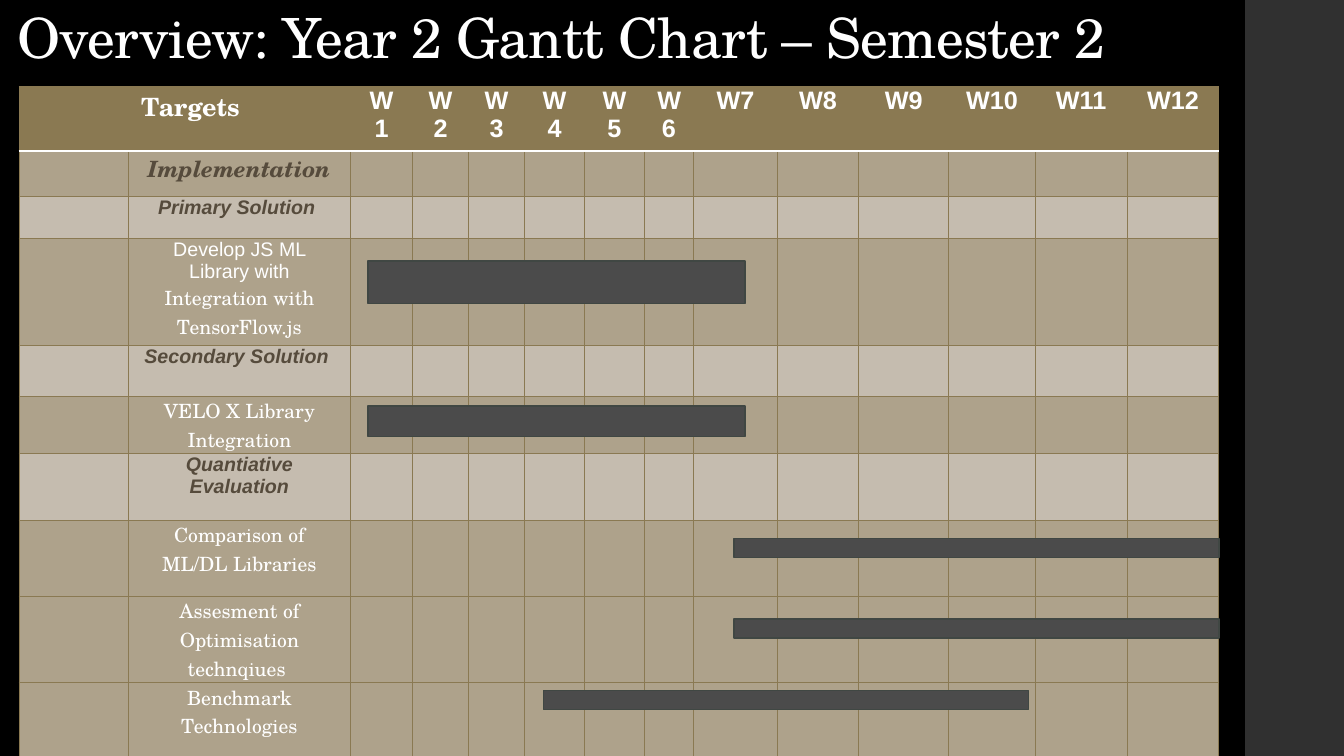
from itertools import accumulate

from lxml.etree import SubElement
from pptx import Presentation
from pptx.dml.color import RGBColor
from pptx.enum.shapes import MSO_SHAPE
from pptx.enum.text import MSO_ANCHOR, MSO_AUTO_SIZE, PP_ALIGN
from pptx.oxml.ns import qn
from pptx.util import Inches, Pt

BLACK = RGBColor(0x00, 0x00, 0x00)
WHITE = RGBColor(0xFF, 0xFF, 0xFF)
GOLD = RGBColor(0x8A, 0x79, 0x52)
TAN = RGBColor(0xAE, 0xA2, 0x8B)
PALE = RGBColor(0xC5, 0xBC, 0xAF)
BROWN = RGBColor(0x56, 0x4B, 0x3C)
STRIP = RGBColor(0x30, 0x30, 0x30)
BAR = RGBColor(0x4B, 0x4B, 0x4B)
BAR_EDGE = RGBColor(0x40, 0x47, 0x43)

SERIF, SANS = "TeX Gyre Schola", "Arial"
WIDTH, HEIGHT = 13.33, 7.5
LEFT, TOP = 0.19, 0.86
COLS = [1.08, 2.21, 0.61, 0.56, 0.55, 0.6, 0.59, 0.49, 0.83, 0.81, 0.89, 0.86, 0.91, 0.91]
ROWS = [0.64, 0.45, 0.42, 1.06, 0.5, 0.57, 0.66, 0.75, 0.86, 0.75]
COL_X = list(accumulate(COLS, initial=LEFT))
ROW_Y = list(accumulate(ROWS, initial=TOP))

HEAD = dict(name=SERIF, size=Pt(18), bold=True, italic=False, color=WHITE)
WEEK = HEAD | dict(name=SANS)
PHASE = HEAD | dict(size=Pt(16), italic=True, color=BROWN)
SECTION = PHASE | dict(name=SANS, size=Pt(14))
TASK = dict(name=SERIF, size=Pt(14), bold=False, italic=False, color=WHITE)
TASK_SANS = TASK | dict(name=SANS)

TARGETS = [
    (GOLD, PP_ALIGN.LEFT, [("Targets", HEAD)]),
    (TAN, PP_ALIGN.LEFT, [(" Implementation", PHASE)]),
    (PALE, PP_ALIGN.CENTER, [("Primary Solution ", SECTION)]),
    (TAN, PP_ALIGN.CENTER, [("Develop JS ML Library with ", TASK_SANS),
                            ("Integration with TensorFlow.js", TASK)]),
    (PALE, PP_ALIGN.CENTER, [("Secondary Solution ", SECTION)]),
    (TAN, PP_ALIGN.CENTER, [("VELO X Library Integration", TASK)]),
    (PALE, PP_ALIGN.CENTER, [("Quantiative Evaluation", SECTION)]),
    (TAN, PP_ALIGN.CENTER, [("Comparison of ML/DL Libraries", TASK)]),
    (TAN, PP_ALIGN.CENTER, [("Assesment of Optimisation technqiues ", TASK)]),
    (TAN, PP_ALIGN.CENTER, [("Benchmark Technologies", TASK)]),
]

BAR_KEYS = ("row", "start", "end", "offset", "height")
BARS = [
    (7, 7.48, 13, 0.18, 0.19),
    (3, 1.28, 7.62, 0.22, 0.42),
    (5, 1.28, 7.62, 0.1, 0.3),
    (8, 7.48, 13, 0.23, 0.19),
    (9, 4.32, 10.92, 0.08, 0.19),
]


def add_run(p, text, font):
    """Add a run with the given font values."""
    r = p.add_run()
    r.text = text
    for key, value in font.items():
        if key == "color":
            r.font.color.rgb = value
        else:
            setattr(r.font, key, value)
    return r


def add_box(s, left, top, width, height, fill, edge=None):
    """Add a plain rectangle, measured in inches."""
    sp = s.shapes.add_shape(MSO_SHAPE.RECTANGLE, *map(Inches, (left, top, width, height)))
    sp.shadow.inherit = False
    sp.fill.solid()
    sp.fill.fore_color.rgb = fill
    if edge is None:
        sp.line.fill.background()
    else:
        sp.line.color.rgb = edge
        sp.line.width = Pt(1.1)


def add_title(s, text):
    """Place and format the title placeholder."""
    sp = s.shapes.title
    box = dict(left=0.07, top=-0.06, width=11.9, height=0.81)
    for key, value in box.items():
        setattr(sp, key, Inches(value))
    tf = sp.text_frame
    tf.vertical_anchor = MSO_ANCHOR.BOTTOM
    tf.auto_size = MSO_AUTO_SIZE.NONE
    tf.word_wrap = True
    p = tf.paragraphs[0]
    p.alignment = PP_ALIGN.LEFT
    p.line_spacing = 0.9
    r = add_run(p, text, dict(name=SERIF, size=Pt(39.6), bold=False, color=WHITE))
    r.font._element.set("spc", "-50")


def set_border(cell, side, color, width):
    """Draw one side of a cell."""
    ln = SubElement(cell._tc.get_or_add_tcPr(), qn("a:ln" + side), w=str(Pt(width)))
    SubElement(SubElement(ln, qn("a:solidFill")), qn("a:srgbClr"), val=str(color))


def format_cell(cell, row, fill):
    """Give a cell its borders and fill."""
    white_side = {0: "B", 1: "T"}.get(row)
    for side in "LRTB":
        set_border(cell, side, *((WHITE, 1.1) if side == white_side else (GOLD, 0.75)))
    cell.fill.solid()
    cell.fill.fore_color.rgb = fill


def write_cell(cell, runs, alignment):
    """Write runs into a cell."""
    margins = dict(margin_left=0.13, margin_right=0.13, margin_top=0, margin_bottom=0)
    for key, value in margins.items():
        setattr(cell, key, Inches(value))
    p = cell.text_frame.paragraphs[0]
    p.alignment = alignment
    p.space_before = Pt(6)
    for text, font in runs:
        add_run(p, text, font)


def add_schedule(s):
    """Add the table of targets and weeks."""
    size = map(Inches, (LEFT, TOP, sum(COLS), sum(ROWS)))
    table = s.shapes.add_table(len(ROWS), len(COLS), *size).table
    table.first_row = table.horz_banding = False
    for col, width in zip(table.columns, COLS):
        col.width = Inches(width)
    for i, (fill, alignment, runs) in enumerate(TARGETS):
        table.rows[i].height = Inches(ROWS[i])
        for cell in table.rows[i].cells:
            format_cell(cell, i, fill)
        write_cell(table.cell(i, 1), runs, alignment)
    for week in range(1, 13):
        write_cell(table.cell(0, week + 1), [(f"W{week}", WEEK)], PP_ALIGN.CENTER)


def week_x(week):
    """Return the horizontal place of a week, with its fraction."""
    whole = int(week)
    share = week - whole
    return COL_X[whole + 1] + (share * COLS[whole + 1] if share else 0)


def add_bar(s, row, start, end, offset, height):
    """Add a bar that spans weeks in a row."""
    left = round(week_x(start), 2)
    width = round(week_x(end) - left, 2)
    add_box(s, left, ROW_Y[row] + offset, width, height, BAR, BAR_EDGE)


def main():
    """Build and save the slide."""
    prs = Presentation()
    prs.slide_width, prs.slide_height = Inches(WIDTH), Inches(HEIGHT)
    s = prs.slides.add_slide(prs.slide_layouts[5])
    s.background.fill.solid()
    s.background.fill.fore_color.rgb = BLACK
    add_box(s, 12.35, 0, WIDTH - 12.35, HEIGHT, STRIP)
    add_title(s, "Overview: Year 2 Gantt Chart – Semester 2")
    add_schedule(s)
    for bar in BARS:
        add_bar(s, **dict(zip(BAR_KEYS, bar)))
    prs.save("out.pptx")


if __name__ == "__main__":
    main()
